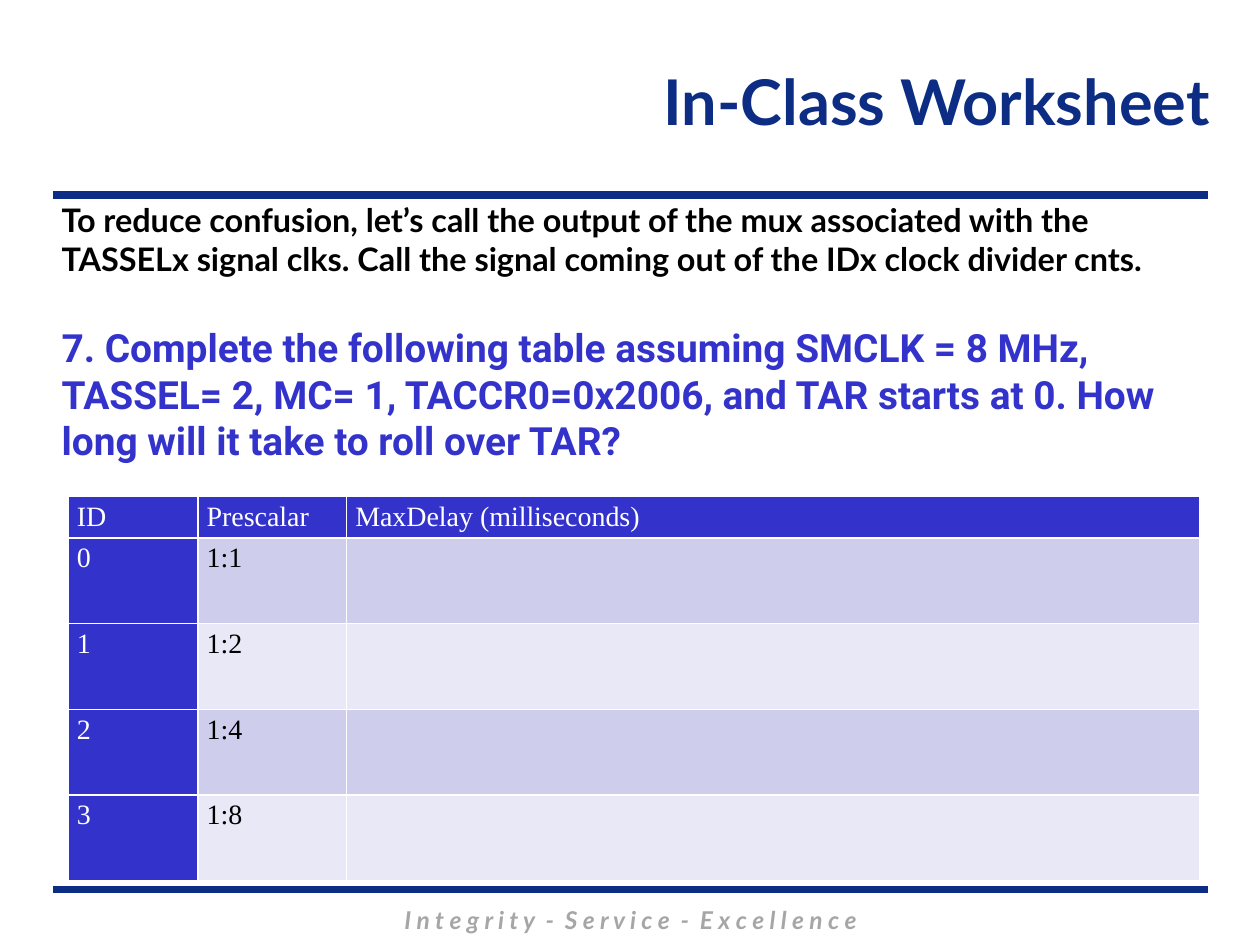
from collections import namedtuple

from lxml import etree
from pptx import Presentation
from pptx import util as u
from pptx.dml.color import RGBColor
from pptx.enum import shapes, text
from pptx.oxml import ns

NAVY = RGBColor(0x0C, 0x2D, 0x83)
BLUE = RGBColor(0x33, 0x33, 0xCC)
LAVENDER = RGBColor(0xCE, 0xCE, 0xEC)
PALE_LAVENDER = RGBColor(0xE8, 0xE8, 0xF6)
GRAY = RGBColor(0xA6, 0xA6, 0xA6)
BLACK = RGBColor(0, 0, 0)
WHITE = RGBColor(255, 255, 255)

COLUMNS, ROWS = 100, 75
UNIT = u.Inches(10) // COLUMNS
Box = namedtuple("Box", "left top width height")

INTRO = (
    "To reduce confusion, let’s call the output of the mux associated with the "
    "TASSELx signal clks. Call the signal coming out of the IDx clock divider cnts."
)
QUESTION = (
    "7. Complete the following table assuming SMCLK = 8 MHz, TASSEL= 2, MC= 1, "
    "TACCR0=0x2006, and TAR starts at 0. How long will it take to roll over TAR?"
)
MOTTO = "I n t e g r i t y  -  S e r v i c e  -  E x c e l l e n c e"
HEADINGS = ("ID", "Prescalar", "MaxDelay (milliseconds)")
COLUMN_WIDTHS = (10.3, 11.8, 67.7)
HEADER_HEIGHT = 3.3
DIVIDER_COUNT = 4


def grid(count):
    return u.Emu(round(count * UNIT))


def place(box):
    return [grid(length) for length in box]


def write(paragraph, words, *, size, color, font="Lato", bold=False, italic=False,
          align=text.PP_ALIGN.LEFT, after=0, line_spacing=None):
    paragraph.alignment = align
    paragraph.space_before = u.Pt(0)
    paragraph.space_after = u.Pt(after)
    if line_spacing:
        paragraph.line_spacing = line_spacing
    run = paragraph.add_run()
    run.text = words
    run.font.name = font
    run.font.size = u.Pt(size)
    run.font.bold = bold
    run.font.italic = italic
    run.font.color.rgb = color


def add_text_frame(slide, box, anchor=text.MSO_ANCHOR.TOP):
    frame = slide.shapes.add_textbox(*place(box)).text_frame
    frame.word_wrap = True
    frame.vertical_anchor = anchor
    return frame


def add_rule(slide, box):
    left, top, width, _ = place(box)
    rule = slide.shapes.add_connector(
        shapes.MSO_CONNECTOR.STRAIGHT, left, top, left + width, top)
    rule.line.color.rgb = NAVY
    rule.line.width = u.Pt(4.5)
    etree.SubElement(rule._element.spPr, ns.qn("a:effectLst"))


def add_title(slide, box):
    frame = add_text_frame(slide, box, text.MSO_ANCHOR.MIDDLE)
    write(frame.paragraphs[0], "In-Class Worksheet", size=36, color=NAVY,
          bold=True, align=text.PP_ALIGN.RIGHT)


def add_body(slide, box):
    frame = add_text_frame(slide, box)
    write(frame.paragraphs[0], INTRO, size=18.5, color=BLACK, bold=True, after=26)
    write(frame.add_paragraph(), QUESTION, size=22.2, color=BLUE, font="Roboto",
          bold=True)


def add_motto(slide, box):
    frame = add_text_frame(slide, box)
    write(frame.paragraphs[0], MOTTO, size=14, color=GRAY, bold=True, italic=True,
          align=text.PP_ALIGN.CENTER)


def add_borders(cell):
    properties = cell._tc.get_or_add_tcPr()
    for side in ("lnL", "lnR", "lnT", "lnB"):
        line = etree.SubElement(properties, ns.qn(f"a:{side}"), w=str(u.Pt(1)))
        fill = etree.SubElement(line, ns.qn("a:solidFill"))
        etree.SubElement(fill, ns.qn("a:srgbClr"), val=str(WHITE))


def fill_cell(cell, words, fill, color):
    cell.margin_left = cell.margin_right = u.Inches(0.07)
    cell.margin_top = cell.margin_bottom = 0
    add_borders(cell)
    cell.fill.solid()
    cell.fill.fore_color.rgb = fill
    if words:
        write(cell.text_frame.paragraphs[0], words, size=16, color=color,
              font="Times New Roman", line_spacing=1.15)


def add_delay_table(slide, box):
    records = [HEADINGS]
    records += [(str(index), f"1:{2 ** index}", "") for index in range(DIVIDER_COUNT)]
    table = slide.shapes.add_table(len(records), len(HEADINGS), *place(box)).table
    for column, width in zip(table.columns, COLUMN_WIDTHS):
        column.width = grid(width)
    row_height = (box.height - HEADER_HEIGHT) / DIVIDER_COUNT
    for row_index, record in enumerate(records):
        table.rows[row_index].height = grid(row_height if row_index else HEADER_HEIGHT)
        band = LAVENDER if row_index % 2 else PALE_LAVENDER
        for column_index, words in enumerate(record):
            heading = row_index == 0 or column_index == 0
            fill_cell(table.cell(row_index, column_index), words,
                      BLUE if heading else band, WHITE if heading else BLACK)


def add_worksheet(presentation):
    slide = presentation.slides.add_slide(presentation.slide_layouts[6])
    for top in (70.6, 15.5):
        add_rule(slide, Box(4.2, top, 91.7, 0))
    add_motto(slide, Box(14.2, 71.3, 71.7, 3.4))
    add_title(slide, Box(20, 2, 77, 12))
    add_body(slide, Box(3.9, 15.4, 93.1, 22.5))
    add_delay_table(slide, Box(5.4, 39.4, sum(COLUMN_WIDTHS), 30.5))


def main():
    presentation = Presentation()
    presentation.slide_width = grid(COLUMNS)
    presentation.slide_height = grid(ROWS)
    add_worksheet(presentation)
    presentation.save("out.pptx")


if __name__ == "__main__":
    main()
